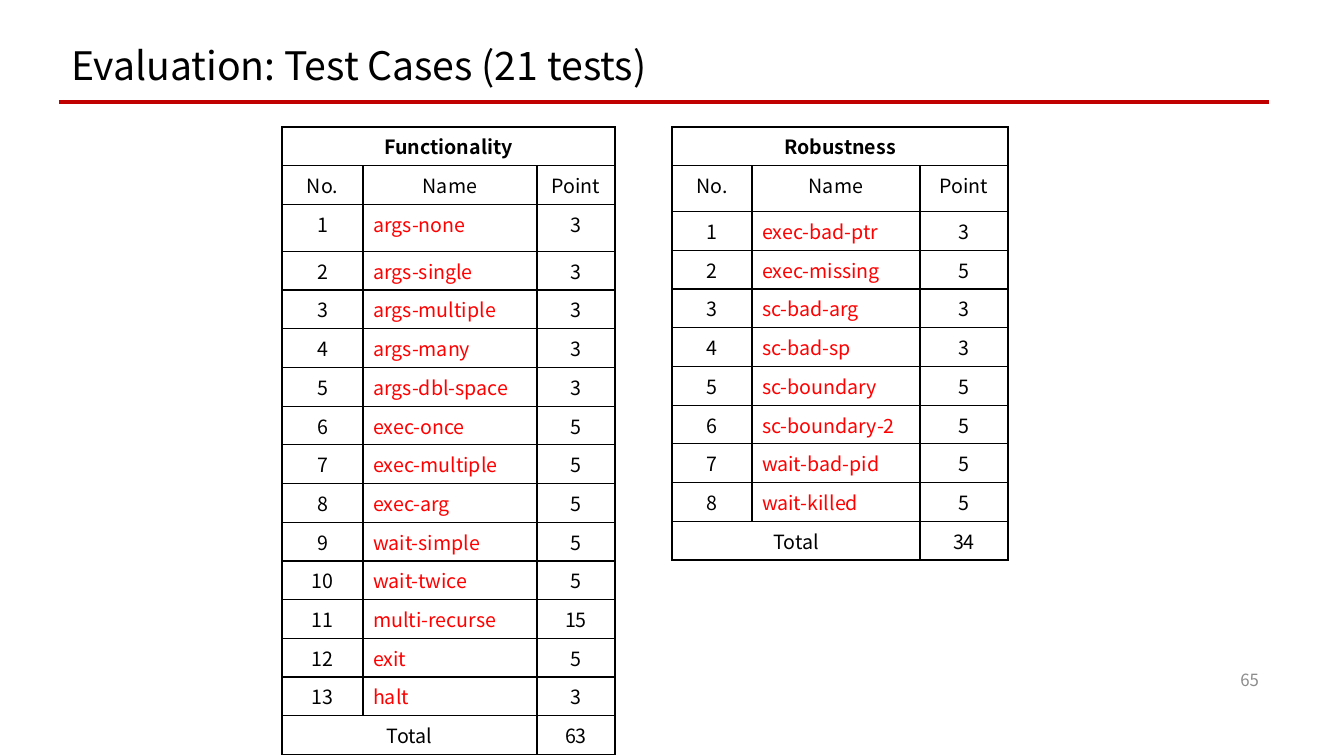
"""Build the slide that lists the test cases and their points."""
from lxml.etree import SubElement
from pptx import Presentation
from pptx.dml.color import RGBColor
from pptx.enum.shapes import MSO_CONNECTOR
from pptx.enum.text import MSO_ANCHOR, PP_ALIGN
from pptx.oxml import parse_xml
from pptx.oxml.ns import nsdecls, qn
from pptx.util import Emu, Pt

FONT = "Noto Sans CJK KR"
COLORS = {"text": "000000", "test": "FF0000", "rule": "C00000", "number": "8C8C8C"}
ROW_HEIGHT = 37
TABLE_TOP = 127

FUNCTIONALITY = [
    ("args-none", 3), ("args-single", 3), ("args-multiple", 3), ("args-many", 3),
    ("args-dbl-space", 3), ("exec-once", 5), ("exec-multiple", 5), ("exec-arg", 5),
    ("wait-simple", 5), ("wait-twice", 5), ("multi-recurse", 15), ("exit", 5),
    ("halt", 3),
]
ROBUSTNESS = [
    ("exec-bad-ptr", 3), ("exec-missing", 5), ("sc-bad-arg", 3), ("sc-bad-sp", 3),
    ("sc-boundary", 5), ("sc-boundary-2", 5), ("wait-bad-pid", 5), ("wait-killed", 5),
]


def px(length):
    return Emu(round(length * 914400 / 100.8))


def write(frame, text, size, color, align, bold=False):
    frame.text = text
    para = frame.paragraphs[0]
    para.alignment = align
    for span in para.runs:
        span.font.name = FONT
        span.font.size = Pt(size)
        span.font.bold = bold
        span.font.color.rgb = RGBColor.from_string(COLORS[color])
    return para


def add_title(page, text):
    title = page.shapes.title
    title.left, title.top, title.width, title.height = px(61), px(41), px(1159), px(53)
    title.text_frame.vertical_anchor = MSO_ANCHOR.MIDDLE
    write(title.text_frame, text, 28, "text", PP_ALIGN.LEFT).line_spacing = 0.9


def add_rule(page, left, right, y):
    rule = page.shapes.add_connector(
        MSO_CONNECTOR.STRAIGHT, px(left), px(y), px(right), px(y))
    rule.line.color.rgb = RGBColor.from_string(COLORS["rule"])
    rule.line.width = Pt(2.25)
    SubElement(rule._element.spPr, qn("a:effectLst"))


def add_page_number(page, number):
    box = page.shapes.add_textbox(px(1220), px(660), px(49), px(40))
    box.text_frame.word_wrap = True
    box.text_frame.vertical_anchor = MSO_ANCHOR.MIDDLE
    write(box.text_frame, number, 12, "number", PP_ALIGN.RIGHT)


def style_cell(cell):
    cell.fill.background()
    properties = cell._tc.get_or_add_tcPr()
    for index, side in enumerate(("lnL", "lnR", "lnT", "lnB")):
        properties.insert(index, parse_xml(
            f'<a:{side} {nsdecls("a")} w="{Pt(1)}"><a:solidFill>'
            f'<a:srgbClr val="{COLORS["text"]}"/></a:solidFill></a:{side}>'))


def add_test_table(page, heading, tests, left, widths, tall_row):
    total = sum(points for name, points in tests)
    rows = [(heading, "", ""), ("No.", "Name", "Point")]
    rows += [(number, name, points) for number, (name, points) in enumerate(tests, 1)]
    rows.append(("Total", "", total))
    last = len(rows) - 1

    table = page.shapes.add_table(
        len(rows), len(widths), px(left), px(TABLE_TOP),
        px(sum(widths)), px(ROW_HEIGHT * len(rows))).table
    table.first_row = False
    table.horz_banding = False
    for column, width in zip(table.columns, widths):
        column.width = px(width)
    for row in table.rows:
        row.height = px(ROW_HEIGHT)
    tall_index, tall_height = tall_row
    table.rows[tall_index].height = px(tall_height)

    for row_index, values in enumerate(rows):
        for column_index, value in enumerate(values):
            cell = table.cell(row_index, column_index)
            style_cell(cell)
            is_test = column_index == 1 and 1 < row_index < last
            write(cell.text_frame, str(value), 14,
                  "test" if is_test else "text",
                  PP_ALIGN.LEFT if is_test else PP_ALIGN.CENTER,
                  bold=row_index == 0)
    table.cell(0, 0).merge(table.cell(0, 2))
    table.cell(last, 0).merge(table.cell(last, 1))


def main():
    deck = Presentation()
    deck.slide_width, deck.slide_height = px(1344), px(756)
    page = deck.slides.add_slide(deck.slide_layouts[5])
    add_test_table(page, "Functionality", FUNCTIONALITY, 282, (81, 174, 78), (2, 47))
    add_test_table(page, "Robustness", ROBUSTNESS, 672, (80, 168, 88), (1, 46))
    add_title(page, "Evaluation: Test Cases (21 tests)")
    add_rule(page, 59, 1269, 102)
    add_page_number(page, "65")
    deck.save("out.pptx")


if __name__ == "__main__":
    main()
